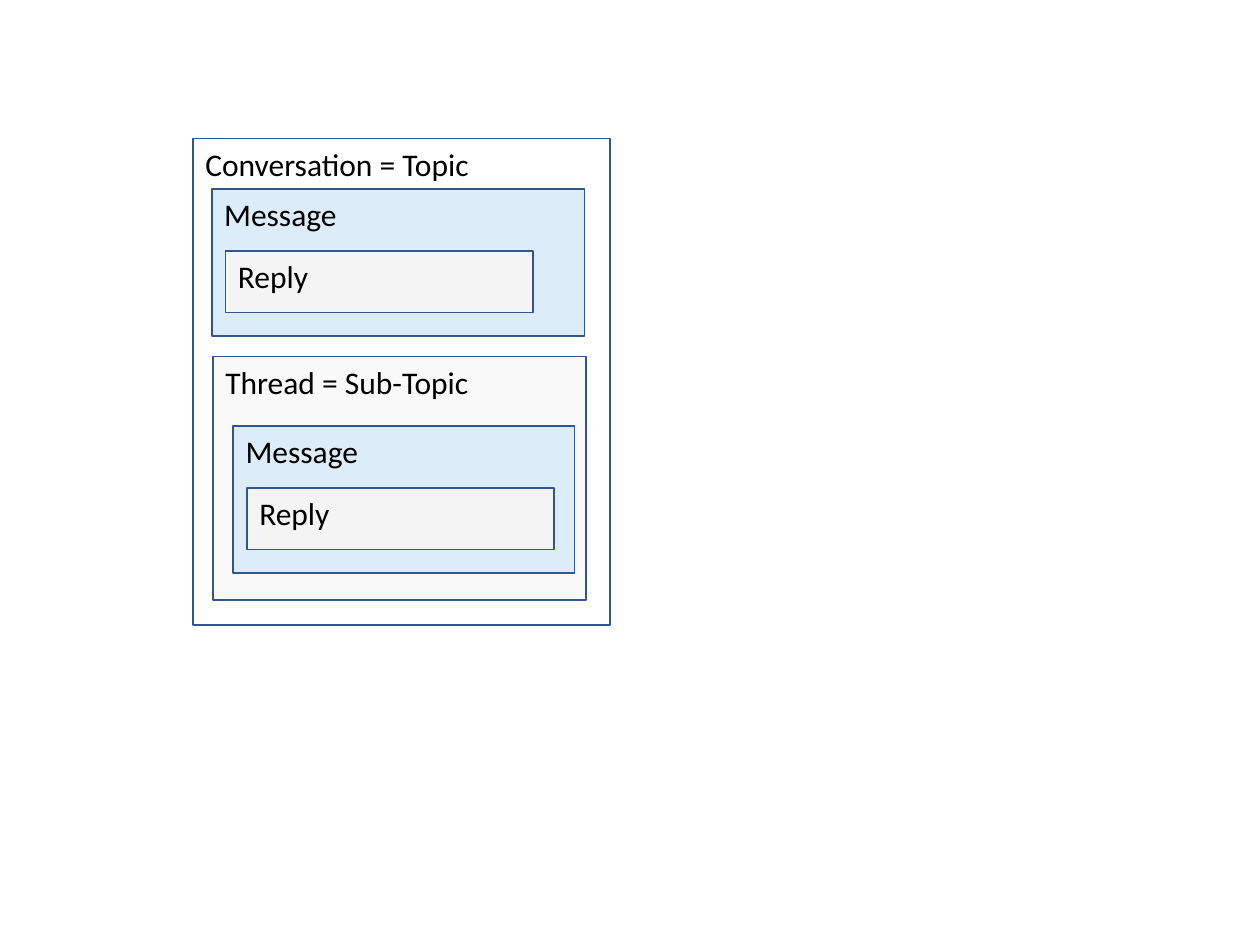
import pptx
import pptx.dml.color
import pptx.enum.shapes
import pptx.enum.text
import pptx.util

Pt = pptx.util.Pt


def colour(hex_string):
    return pptx.dml.color.RGBColor.from_string(hex_string)


class Diagram:
    """Holds the style and the current slide; lengths are in points."""

    font_name = "Calibri"
    font_size = 18
    text_colour = "000000"
    line_colour = "325491"
    message_fill = "DCEDF9"
    reply_fill = "F4F4F4"
    thread_fill = "F9F9F9"

    def __init__(self, page):
        self.page = page

    def box(self, label, left, top, width, height, fill=None):
        box = self.page.shapes.add_shape(
            pptx.enum.shapes.MSO_SHAPE.RECTANGLE,
            Pt(left), Pt(top), Pt(width), Pt(height))
        box.shadow.inherit = False
        if fill:
            box.fill.solid()
            box.fill.fore_color.rgb = colour(fill)
        else:
            box.fill.background()
        box.line.color.rgb = colour(self.line_colour)
        box.line.width = Pt(1)

        frame = box.text_frame
        frame.word_wrap = True
        frame.vertical_anchor = pptx.enum.text.MSO_ANCHOR.TOP
        para = frame.paragraphs[0]
        para.text = label
        para.alignment = pptx.enum.text.PP_ALIGN.LEFT
        para.font.name = self.font_name
        para.font.size = Pt(self.font_size)
        para.font.color.rgb = colour(self.text_colour)

    def message(self, left, top, width):
        """A message box with its reply nested inside."""
        self.box("Message", left, top, width, 84.2, self.message_fill)
        self.box("Reply", left + 7.9, top + 35.3, 175.7, 35.3, self.reply_fill)


def main():
    deck = pptx.Presentation()
    deck.slide_width, deck.slide_height = Pt(720), Pt(540)
    diagram = Diagram(deck.slides.add_slide(deck.slide_layouts[6]))

    # Conversation frame
    diagram.box("Conversation = Topic", 110.2, 79.2, 238.3, 277.9)

    # Thread with its own message
    diagram.box("Thread = Sub-Topic", 121.7, 203.8, 213.1, 139,
                diagram.thread_fill)
    diagram.message(133.2, 243.4, 195.1)

    # Message directly in the conversation
    diagram.message(121, 108, 213.1)

    deck.save("out.pptx")


if __name__ == "__main__":
    main()
